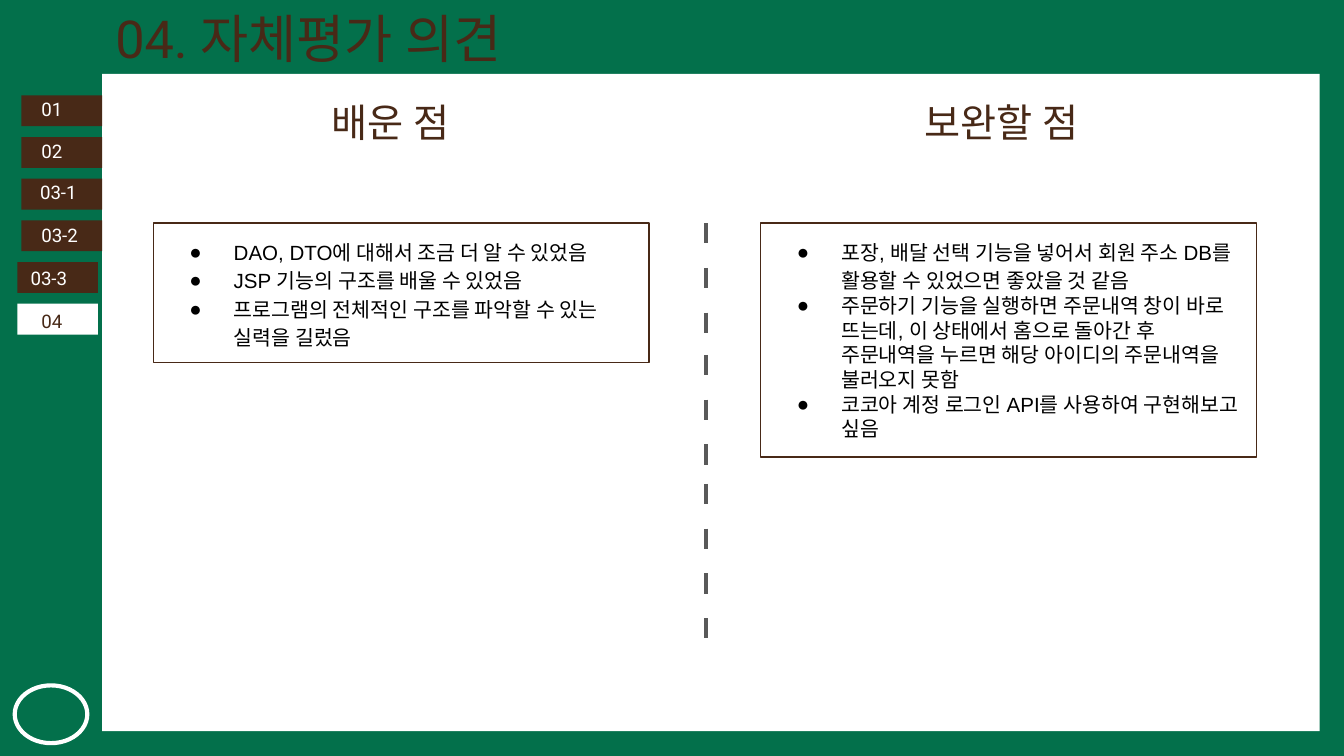
from lxml import etree
from pptx import Presentation
from pptx.dml.color import RGBColor
from pptx.enum import shapes, text
from pptx.oxml import ns
from pptx.util import Inches, Pt

GREEN = RGBColor(0x03, 0x70, 0x4B)
BROWN = RGBColor(0x48, 0x29, 0x17)
GRAY = RGBColor(0x59, 0x59, 0x59)
WHITE = RGBColor(0xFF, 0xFF, 0xFF)
BLACK = RGBColor(0, 0, 0)

# label, bar left, label left, label top, label width
TABS = [
    ("01", 0.16, 0.21, 0.68, 0.52),
    ("02", 0.16, 0.21, 0.99, 0.52),
    ("03-1", 0.16, 0.2, 1.3, 0.52),
    ("03-2", 0.16, 0.21, 1.62, 0.6),
    ("03-3", 0.13, 0.13, 1.94, 0.6),
    ("04", 0.13, 0.21, 2.26, 0.52),
]
# text, line spacing
LEARNED = [
    ("DAO, DTO에 대해서 조금 더 알 수 있었음", 1.15),
    ("JSP 기능의 구조를 배울 수 있었음", 1.15),
    ("프로그램의 전체적인 구조를 파악할 수 있는 실력을 길렀음", 1.15),
]
IMPROVE = [
    ("포장, 배달 선택 기능을 넣어서 회원 주소 DB를 활용할 수 있었으면 좋았을 것 같음", 1.15),
    ("주문하기 기능을 실행하면 주문내역 창이 바로 뜨는데, 이 상태에서 홈으로 돌아간 후 "
     "주문내역을 누르면 해당 아이디의 주문내역을 불러오지 못함", 1),
    ("코코아 계정 로그인 API를 사용하여 구현해보고 싶음", 1),
]
# first dash top, number of dashes
DASHES = [(1.66, 3), (2.64, 3), (3.6, 4)]


def style(para, size, font, color):
    for run in para.runs:
        run.font.size = Pt(size)
        run.font.name = font
        run.font.color.rgb = color


def block(slide, box, fill=None, line=None, width=0.75, kind=shapes.MSO_SHAPE.RECTANGLE):
    shape = slide.shapes.add_shape(kind, *map(Inches, box))
    shape.shadow.inherit = False
    if fill is None:
        shape.fill.background()
    else:
        shape.fill.solid()
        shape.fill.fore_color.rgb = fill
    if line is None:
        shape.line.fill.background()
    else:
        shape.line.color.rgb = line
        shape.line.width = Pt(width)
    return shape


def label(slide, box, words, size, color):
    frame = slide.shapes.add_textbox(*map(Inches, box)).text_frame
    frame.word_wrap = True
    frame.text = words
    para = frame.paragraphs[0]
    style(para, size, "Roboto", color)
    for run in para.runs:
        east = etree.SubElement(run.font._element, ns.qn("a:ea"))
        east.set("typeface", "Roboto")


def bullet(para):
    props = para._p.get_or_add_pPr()
    props.set("marL", str(Inches(0.5)))
    props.set("indent", str(Inches(-0.33)))
    tint = etree.SubElement(props, ns.qn("a:buClr"))
    etree.SubElement(tint, ns.qn("a:srgbClr")).set("val", str(BLACK))
    etree.SubElement(props, ns.qn("a:buSzPts")).set("val", "1100")
    etree.SubElement(props, ns.qn("a:buFont")).set("typeface", "Arial")
    etree.SubElement(props, ns.qn("a:buChar")).set("char", "●")


def panel(slide, box, items):
    frame = block(slide, box, line=BROWN).text_frame
    frame.word_wrap = True
    frame.vertical_anchor = text.MSO_ANCHOR.TOP
    frame.margin_top = frame.margin_bottom = Inches(0.1)
    frame.text = "\n".join(words for words, _ in items)
    for para, (_, gap) in zip(frame.paragraphs, items):
        bullet(para)
        para.alignment = text.PP_ALIGN.LEFT
        para.line_spacing = gap
        style(para, 11, "Arial", BLACK)


def dash(slide, x, top):
    line = slide.shapes.add_connector(
        shapes.MSO_CONNECTOR.STRAIGHT,
        Inches(x), Inches(top), Inches(x), Inches(top + 0.15))
    line.line.color.rgb = GRAY
    line.line.width = Pt(2.25)
    etree.SubElement(line._element.spPr, ns.qn("a:effectLst"))


def main():
    # Widescreen page, 16 to 9
    deck = Presentation()
    deck.slide_width, deck.slide_height = Inches(10), Inches(10 * 9 / 16)
    slide = deck.slides.add_slide(deck.slide_layouts[6])
    slide.background.fill.solid()
    slide.background.fill.fore_color.rgb = GREEN

    # Page and corner mark
    block(slide, (0.76, 0.55, 9.06, 4.89), WHITE)
    block(slide, (0.11, 5.1, 0.54, 0.43), line=WHITE, width=2.25,
          kind=shapes.MSO_SHAPE.OVAL)

    # Title and column heads
    label(slide, (0.76, 0, 6.7, 0.57), "04. 자체평가 의견", 28, BROWN)
    label(slide, (6.78, 0.68, 1.85, 0.45), "보완할 점", 21, BROWN)
    label(slide, (2.37, 0.68, 1.5, 0.45), "배운 점", 21, BROWN)

    # Bulleted panels
    panel(slide, (1.14, 1.66, 3.69, 1.04), LEARNED)
    panel(slide, (5.66, 1.66, 3.69, 1.74), IMPROVE)

    # Dashed divider
    for start, count in DASHES:
        for i in range(count):
            dash(slide, 5.25, start + i / 3)

    # Side tabs: bars first, then labels; the last one is current
    last = len(TABS) - 1
    for i, (_, left, *_) in enumerate(TABS):
        block(slide, (left, 0.71 + 0.31 * i, 0.6, 0.23), WHITE if i == last else BROWN)
    for i, (words, _, left, top, width) in enumerate(TABS):
        label(slide, (left, top, width, 0.27), words, 10, BROWN if i == last else WHITE)

    deck.save("out.pptx")


if __name__ == "__main__":
    main()
